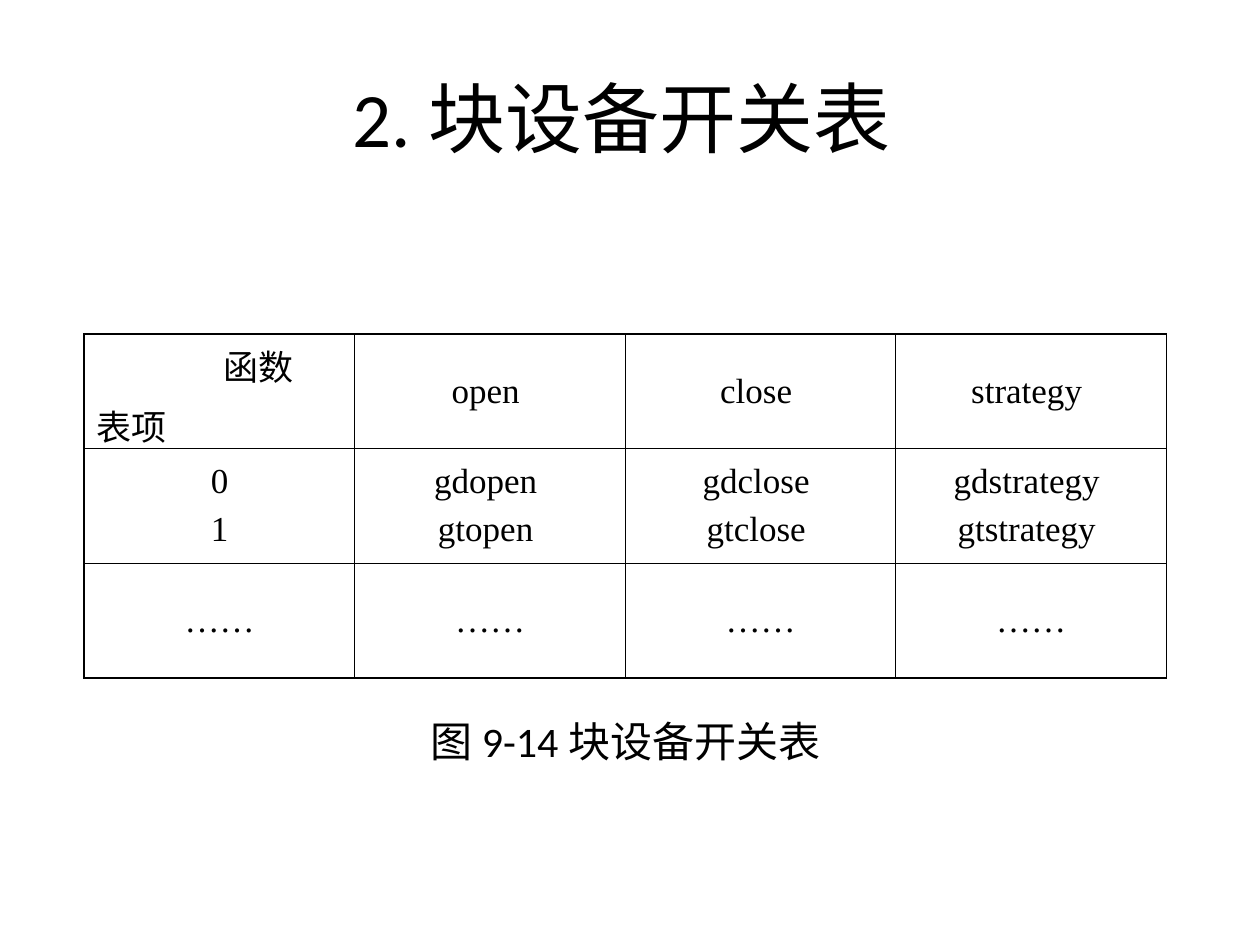
from dataclasses import dataclass

from lxml.etree import SubElement
from pptx import Presentation
from pptx.dml.color import RGBColor
from pptx.enum.text import MSO_ANCHOR, PP_ALIGN
from pptx.oxml.ns import qn
from pptx.util import Pt

BLACK = RGBColor(0, 0, 0)
OUTER_LINE = Pt(1.08)
INNER_LINE = Pt(0.45)
COLUMN_WIDTH = Pt(154.6)
ROW_HEIGHT = Pt(65.5)
HEADING_INDENT = Pt(49)

TABLE_LINES = [
    [["函数 ", "表项"], ["open "], ["close "], ["strategy "]],
    [["0", "1"], ["gdopen ", "gtopen "], ["gdclose ", "gtclose "],
     ["gdstrategy ", "gtstrategy "]],
    [["……"]] * 4,
]


@dataclass
class Label:
    text: str
    top: float
    height: float
    size: float


LABELS = [
    Label("2. 块设备开关表 ", 21.6, 90, 44),
    Label("图 9-14 块设备开关表 ", 405, 36, 24),
]


def write_lines(frame, lines: list[str], font_name: str, size: float) -> None:
    """Fill a text frame with one centred paragraph per line."""
    font_format = {"name": font_name, "size": Pt(size), "bold": False}
    for index, line in enumerate(lines):
        para = frame.paragraphs[0] if index == 0 else frame.add_paragraph()
        para.alignment = PP_ALIGN.CENTER
        if index:
            para.space_before = Pt(5)
        span = para.add_run()
        span.text = line
        for name, value in font_format.items():
            setattr(span.font, name, value)
        span.font.color.rgb = BLACK


def add_label(page, label: Label) -> None:
    box = page.shapes.add_textbox(Pt(36), Pt(label.top), Pt(648), Pt(label.height))
    box.text_frame.word_wrap = True
    box.text_frame.vertical_anchor = MSO_ANCHOR.MIDDLE
    write_lines(box.text_frame, [label.text], "Calibri", label.size)


def set_borders(cell, widths: dict[str, int]) -> None:
    properties = cell._tc.get_or_add_tcPr()
    for side, width in widths.items():
        line = SubElement(properties, qn(f"a:ln{side}"), w=str(int(width)))
        fill = SubElement(line, qn("a:solidFill"))
        SubElement(fill, qn("a:srgbClr"), val=str(BLACK))


def add_switch_table(page) -> None:
    row_count, column_count = len(TABLE_LINES), len(TABLE_LINES[0])
    table = page.shapes.add_table(
        row_count, column_count, Pt(48.2), Pt(190.8),
        COLUMN_WIDTH * column_count, ROW_HEIGHT * row_count).table
    table.first_row = False
    table.horz_banding = False
    for column in table.columns:
        column.width = COLUMN_WIDTH
    for row in table.rows:
        row.height = ROW_HEIGHT

    for row_index, row_lines in enumerate(TABLE_LINES):
        for column_index, lines in enumerate(row_lines):
            cell = table.cell(row_index, column_index)
            cell.vertical_anchor = MSO_ANCHOR.MIDDLE
            on_edge = {
                "L": column_index == 0,
                "R": column_index == column_count - 1,
                "T": row_index == 0,
                "B": row_index == row_count - 1,
            }
            set_borders(cell, {side: OUTER_LINE if edge else INNER_LINE
                               for side, edge in on_edge.items()})
            cell.fill.background()
            write_lines(cell.text_frame, lines, "Times New Roman", 20)

    function_para, entry_para = table.cell(0, 0).text_frame.paragraphs
    function_para._p.get_or_add_pPr().set("marL", str(int(HEADING_INDENT)))
    entry_para.alignment = PP_ALIGN.LEFT


def main() -> None:
    deck = Presentation()
    deck.slide_width, deck.slide_height = Pt(720), Pt(540)
    page = deck.slides.add_slide(deck.slide_layouts[6])
    for label in LABELS:
        add_label(page, label)
    add_switch_table(page)
    deck.save("out.pptx")


if __name__ == "__main__":
    main()
